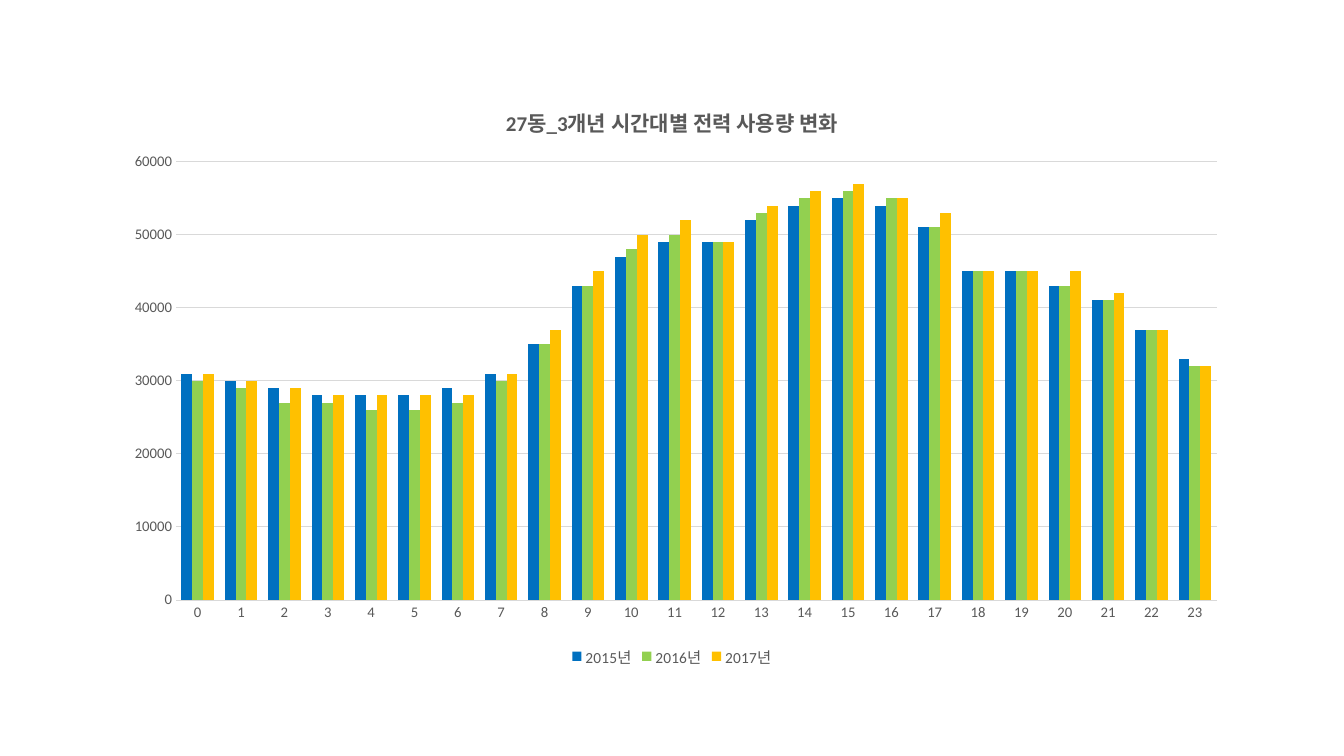
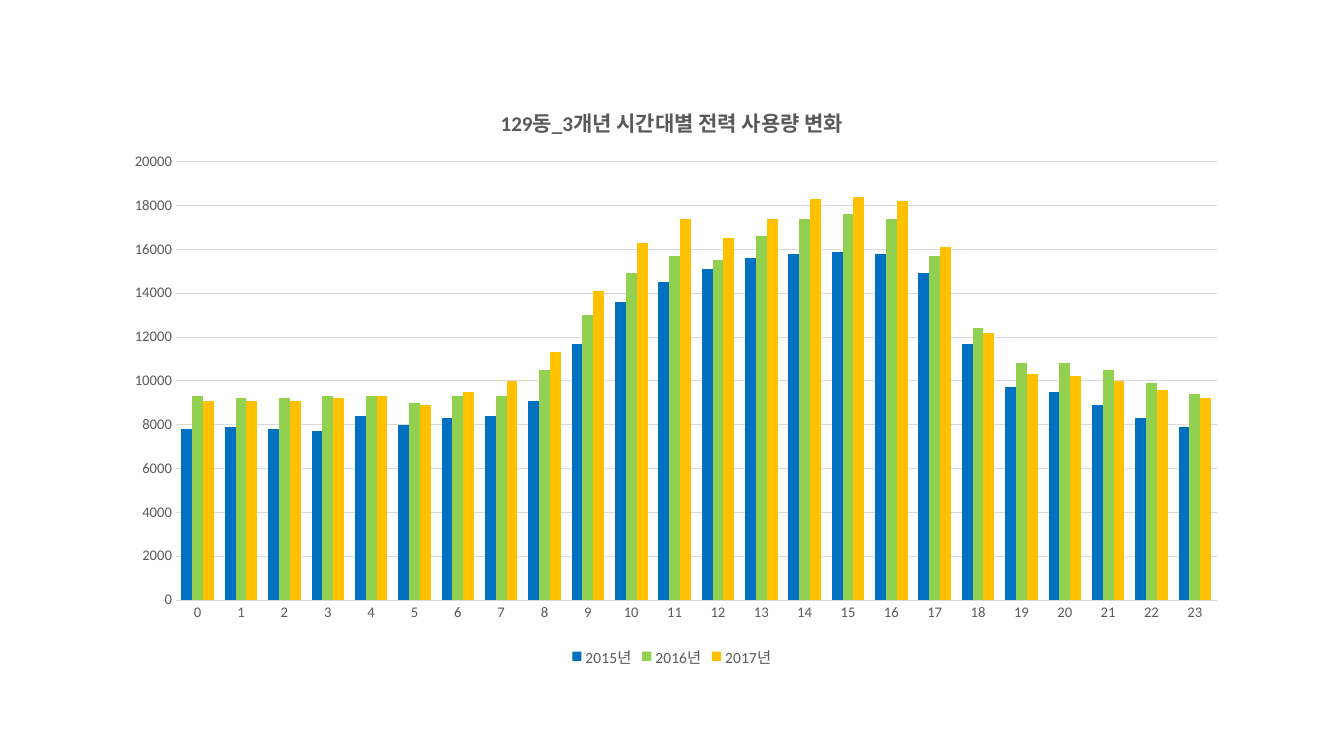
from lxml import etree
from pptx import Presentation
from pptx import util as u
from pptx.chart import data as chart_data
from pptx.dml.color import RGBColor
from pptx.enum import chart as kinds
from pptx.oxml import ns

SLIDE_WIDTH, SLIDE_HEIGHT = u.Inches(13.33), u.Inches(7.5)
FONT = "Calibri"
BLACK = RGBColor(0x00, 0x00, 0x00)
TEXT_GREY = RGBColor(0x59, 0x59, 0x59)
RULE_GREY = RGBColor(0xD9, 0xD9, 0xD9)
YEAR_COLOURS = {
    "2015년": RGBColor(0x00, 0x70, 0xC0),
    "2016년": RGBColor(0x92, 0xD0, 0x50),
    "2017년": RGBColor(0xFF, 0xC0, 0x00),
}
HOURS = [str(hour) for hour in range(24)]
CHART_BOX = (u.Inches(1.05), u.Inches(0.83), u.Inches(11.23), u.Inches(5.83))
PLOT_SHARES = {"x": 0.062, "y": 0.133, "w": 0.919, "h": 0.746}

BUILDINGS = [
    {
        "name": "27동", "unit": 1000, "top": 60000, "step": 10000,
        "usage": [
            [31, 30, 29, 28, 28, 28, 29, 31, 35, 43, 47, 49,
             49, 52, 54, 55, 54, 51, 45, 45, 43, 41, 37, 33],
            [30, 29, 27, 27, 26, 26, 27, 30, 35, 43, 48, 50,
             49, 53, 55, 56, 55, 51, 45, 45, 43, 41, 37, 32],
            [31, 30, 29, 28, 28, 28, 28, 31, 37, 45, 50, 52,
             49, 54, 56, 57, 55, 53, 45, 45, 45, 42, 37, 32],
        ],
    },
    {
        "name": "129동", "unit": 100, "top": 20000, "step": 2000,
        "usage": [
            [78, 79, 78, 77, 84, 80, 83, 84, 91, 117, 136, 145,
             151, 156, 158, 159, 158, 149, 117, 97, 95, 89, 83, 79],
            [93, 92, 92, 93, 93, 90, 93, 93, 105, 130, 149, 157,
             155, 166, 174, 176, 174, 157, 124, 108, 108, 105, 99, 94],
            [91, 91, 91, 92, 93, 89, 95, 100, 113, 141, 163, 174,
             165, 174, 183, 184, 182, 161, 122, 103, 102, 100, 96, 92],
        ],
    },
]


def set_font(font, size, colour=TEXT_GREY, bold=False):
    font.name, font.size, font.bold = FONT, u.Pt(size), bold
    font.color.rgb = colour


def set_rule(line):
    line.color.rgb = RULE_GREY
    line.width = u.Pt(0.75)


def place_plot(chart, shares):
    area = chart.plots[0]._element.getparent()
    for old in area.findall(ns.qn("c:layout")):
        area.remove(old)
    layout = etree.Element(ns.qn("c:layout"))
    manual = etree.SubElement(layout, ns.qn("c:manualLayout"))
    settings = {"layoutTarget": "inner", "xMode": "edge", "yMode": "edge", **shares}
    for tag, value in settings.items():
        etree.SubElement(manual, ns.qn(f"c:{tag}")).set("val", str(value))
    area.insert(0, layout)


def format_axes(chart, top, step):
    hours, usage = chart.category_axis, chart.value_axis
    for axis in (hours, usage):
        axis.major_tick_mark = axis.minor_tick_mark = kinds.XL_TICK_MARK.NONE
        set_font(axis.tick_labels.font, 10.5)
    hours.has_major_gridlines = False
    set_rule(hours.format.line)
    usage.minimum_scale, usage.maximum_scale, usage.major_unit = 0, top, step
    usage.has_major_gridlines = True
    set_rule(usage.major_gridlines.format.line)
    usage.format.line.fill.background()


def add_usage_chart(page, box, building):
    figures = chart_data.CategoryChartData(number_format="General")
    figures.categories = HOURS
    for year, values in zip(YEAR_COLOURS, building["usage"]):
        figures.add_series(year, [value * building["unit"] for value in values])
    chart = page.shapes.add_chart(
        kinds.XL_CHART_TYPE.COLUMN_CLUSTERED, *box, figures).chart
    set_font(chart.font, 10, BLACK)

    chart.has_title = True
    para = chart.chart_title.text_frame.paragraphs[0]
    para.text = f"{building['name']}_3개년 시간대별 전력 사용량 변화"
    set_font(para.font, 15, bold=True)
    chart.chart_title.include_in_layout = False

    chart.has_legend = True
    chart.legend.position = kinds.XL_LEGEND_POSITION.BOTTOM
    chart.legend.include_in_layout = False
    set_font(chart.legend.font, 11)

    plot = chart.plots[0]
    plot.gap_width, plot.overlap, plot.vary_by_categories = 100, 0, False
    for series, colour in zip(plot.series, YEAR_COLOURS.values()):
        series.format.fill.solid()
        series.format.fill.fore_color.rgb = colour
    format_axes(chart, building["top"], building["step"])
    place_plot(chart, PLOT_SHARES)


def main():
    deck = Presentation()
    deck.slide_width, deck.slide_height = SLIDE_WIDTH, SLIDE_HEIGHT
    blank = deck.slide_layouts[6]
    for building in BUILDINGS:
        add_usage_chart(deck.slides.add_slide(blank), CHART_BOX, building)
    deck.save("out.pptx")


if __name__ == "__main__":
    main()
